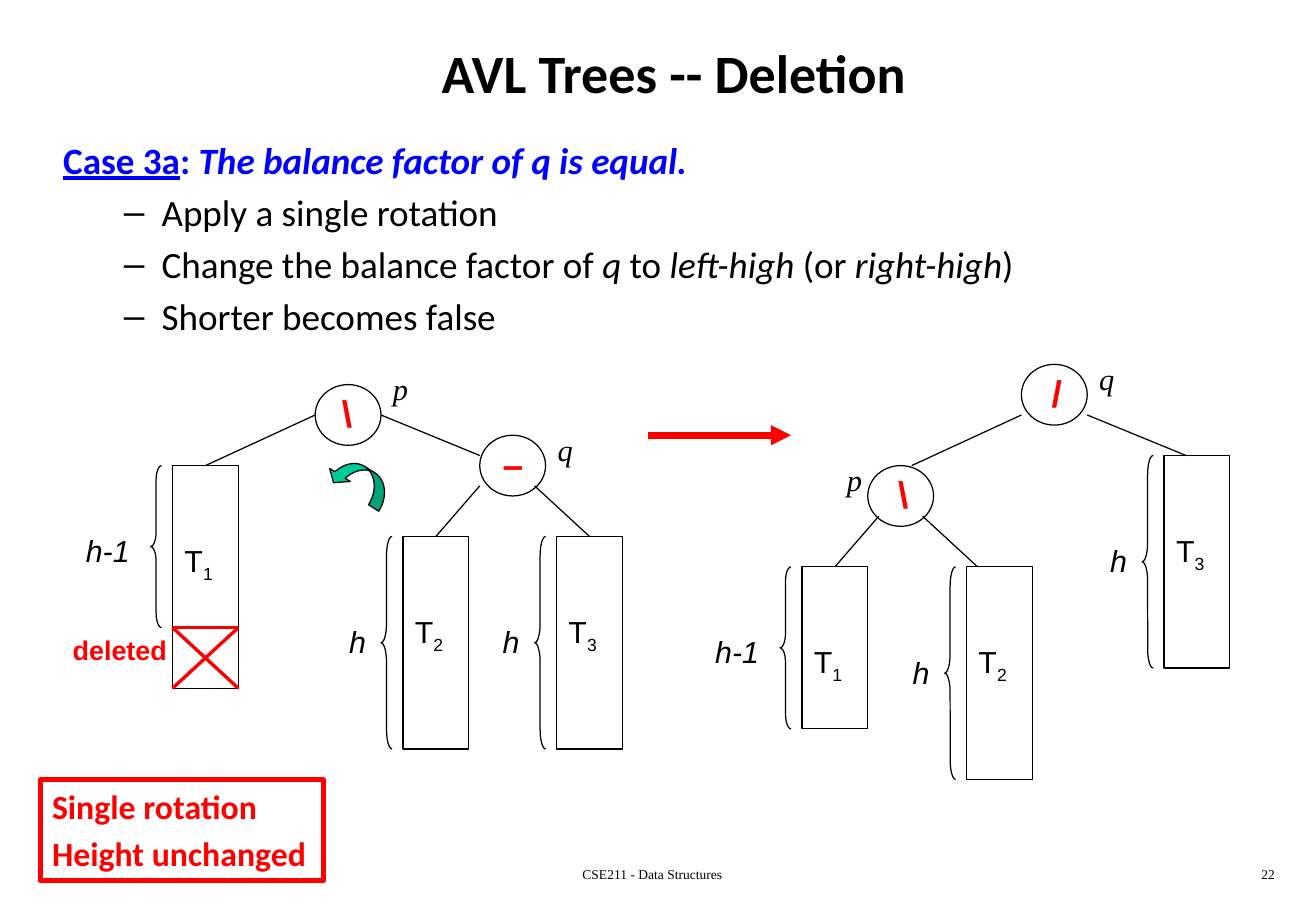
"""Build the AVL deletion slide: case 3a before and after a single rotation."""
from lxml import etree
from pptx import Presentation
from pptx.dml.color import RGBColor
from pptx.enum.shapes import MSO_CONNECTOR, MSO_SHAPE
from pptx.enum.text import MSO_ANCHOR, MSO_AUTO_SIZE, PP_ALIGN
from pptx.oxml.ns import qn
from pptx.util import Inches, Pt

BLACK = RGBColor(0, 0, 0)
WHITE = RGBColor(255, 255, 255)
RED = RGBColor(255, 0, 0)
BLUE = RGBColor(0, 0, 255)
GREEN = RGBColor(0, 204, 153)
HEADING, SANS, SERIF = "Calibri", "Arial", "Times New Roman"

TITLE = "AVL Trees -- Deletion"
CASE = [("Case 3a", "bu"), (": ", "b"), ("The balance factor of q is equal.", "bi")]
STEPS = [
    [("Apply a single rotation", "")],
    [("Change the balance factor of ", ""), ("q ", "i"), ("to ", ""),
     ("left-high", "i"), (" (or ", ""), ("right-high", "i"), (")", "")],
    [("Shorter becomes false", "")],
]
OUTCOME = ["Single rotation", "Height unchanged"]
FOOTERS = [("CSE211 - Data Structures", 3.34, 4.06, PP_ALIGN.CENTER),
           ("22", 8.33, 2.26, PP_ALIGN.RIGHT)]

COL, ROW = 0.0903, 1 / 12
NODE_W, NODE_H = 6, 6
BEFORE = {
    "left": 1.42,
    "nodes": [("p", "\\", 13, 38, 1.33, (19, 36)), ("q", "–", 28, 43, 1, (34, 42))],
    "subtrees": [("1", "h-1", 0, 46, 22, 16, 53), ("2", "h", 21, 53, 21, 21, 60),
                 ("3", "h", 35, 53, 21, 21, 60)],
    "edges": [(13, 41, 3, 46), (19, 41, 28, 45), (28, 48, 24, 53), (33, 48, 38, 53)],
}
AFTER = {
    "left": 6.6,
    "nodes": [("q", "/", 20, 36, 1.67, (26, 35)), ("p", "\\", 6, 46, 1.67, (3, 45))],
    "subtrees": [("1", "h-1", 0, 56, 16, 16, 63), ("2", "h", 15, 56, 21, 21, 63),
                 ("3", "h", 33, 45, 21, 21, 52)],
    "edges": [(20, 41, 10, 46), (26, 41, 35, 45), (7, 51, 3, 56), (11, 51, 16, 56)],
}
DELETED_ROWS = (62, 68)

prs = Presentation()
prs.slide_width, prs.slide_height = Inches(10.83), Inches(7.5)
slide = prs.slides.add_slide(prs.slide_layouts[1])
shapes = slide.shapes


def place(shape, left, top, width, height):
    shape.left, shape.top = Inches(left), Inches(top)
    shape.width, shape.height = Inches(width), Inches(height)


def add_run(paragraph, text, font, size, color, style=""):
    run = paragraph.add_run()
    run.text = text
    run.font.name, run.font.size = font, Pt(size)
    run.font.color.rgb = color
    run.font.bold, run.font.italic = "b" in style, "i" in style
    run.font.underline = "u" in style
    return run


def add_label(left, top, width, height, text, font, size, color=BLACK, style="",
              align=PP_ALIGN.LEFT):
    frame = shapes.add_textbox(*map(Inches, (left, top, width, height))).text_frame
    frame.word_wrap = True
    paragraph = frame.paragraphs[0]
    paragraph.alignment = align
    add_run(paragraph, text, font, size, color, style)
    return paragraph


def add_outline(kind, left, top, width, height, fill=None, color=BLACK, weight=0.75):
    shape = shapes.add_shape(kind, *map(Inches, (left, top, width, height)))
    shape.shadow.inherit = False
    if fill is None:
        shape.fill.background()
    else:
        shape.fill.solid()
        shape.fill.fore_color.rgb = fill
    shape.line.color.rgb, shape.line.width = color, Pt(weight)
    return shape


def add_line(x1, y1, x2, y2, color=BLACK, weight=0.75):
    line = shapes.add_connector(MSO_CONNECTOR.STRAIGHT, *map(Inches, (x1, y1, x2, y2)))
    line.line.color.rgb, line.line.width = color, Pt(weight)
    etree.SubElement(line.element.spPr, qn("a:effectLst"))
    return line


def set_bullet(paragraph, margin, indent, char=None):
    props = paragraph._p.get_or_add_pPr()
    props.set("marL", str(Inches(margin)))
    props.set("indent", str(Inches(indent)))
    if char:
        etree.SubElement(props, qn("a:buChar")).set("char", char)
    else:
        etree.SubElement(props, qn("a:buNone"))


def draw_tree(tree):
    def x(col):
        return tree["left"] + col * COL

    for name, balance, col, row, shift, (name_col, name_row) in tree["nodes"]:
        add_outline(MSO_SHAPE.OVAL, x(col), row * ROW, NODE_W * COL, NODE_H * ROW)
        add_label(x(col + shift), row * ROW, 0.45, 0.47, balance, SANS, 22, RED, "b")
        add_label(x(name_col), name_row * ROW, 0.63, 0.4, name, SERIF, 18, style="i")

    for number, height, col, row, rows, brace_rows, text_row in tree["subtrees"]:
        add_outline(MSO_SHAPE.RECTANGLE, x(col), row * ROW, NODE_W * COL, rows * ROW)
        label = add_label(x(col), text_row * ROW, 0.54, 0.4, "T", SANS, 18)
        index = add_run(label, number, SANS, 18, BLACK)
        index.font._element.set("baseline", "-25000")
        brace = add_outline(MSO_SHAPE.LEFT_BRACE, x(col - 2), row * ROW, COL, brace_rows * ROW)
        brace.adjustments[0] = brace_rows * ROW
        shorter = height == "h-1"
        add_label(x(col - (9 if shorter else 6)), (text_row + (-1 if shorter else 1)) * ROW,
                  0.99 if shorter else 0.54, 0.4, height, SANS, 18, style="i")

    for col1, row1, col2, row2 in tree["edges"]:
        add_line(x(col1), row1 * ROW, x(col2), row2 * ROW)


title, body = slide.placeholders
place(title, 0.42, 0.17, 10.25, 0.84)
title.text_frame.vertical_anchor = MSO_ANCHOR.MIDDLE
add_run(title.text_frame.paragraphs[0], TITLE, HEADING, 32, BLACK, "b")

place(body, 0.42, 1.08, 9.08, 1.75)
body.text_frame.auto_size = MSO_AUTO_SIZE.NONE
case = body.text_frame.paragraphs[0]
set_bullet(case, 0.38, -0.38)
for text, style in CASE:
    add_run(case, text, HEADING, 22, BLUE, style)
for step in STEPS:
    paragraph = body.text_frame.add_paragraph()
    paragraph.level = 1
    set_bullet(paragraph, 0.81, -0.31, "–")
    for text, style in step:
        add_run(paragraph, text, HEADING, 22, BLACK, style)

for text, left, width, align in FOOTERS:
    add_label(left, 7.08, width, 0.25, text, SERIF, 8, align=align)

outcome = add_outline(MSO_SHAPE.RECTANGLE, 0.33, 6.42, 2.33, 0.83, WHITE, RED, 3).text_frame
outcome.vertical_anchor = MSO_ANCHOR.TOP
for number, text in enumerate(OUTCOME):
    paragraph = outcome.add_paragraph() if number else outcome.paragraphs[0]
    paragraph.alignment, paragraph.space_before = PP_ALIGN.LEFT, Pt(4)
    add_run(paragraph, text, HEADING, 20, RED, "b")

draw_tree(BEFORE)
draw_tree(AFTER)

left, right = BEFORE["left"], BEFORE["left"] + NODE_W * COL
top, bottom = (row * ROW for row in DELETED_ROWS)
for ends in [(left, top, right, top), (left, top, right, bottom), (right, top, left, bottom)]:
    add_line(*ends, RED, 2)
add_label(0.5, top, 1.26, 0.37, "deleted", SANS, 16, RED, "b")

rotation = add_outline(MSO_SHAPE.CURVED_LEFT_ARROW, 2.83, 3.69, 0.25, 0.54, GREEN)
rotation.rotation = 302.2
rotation.element.spPr.xfrm.set("flipV", "1")
for number, value in enumerate((0.4, 0.8, 0.33)):
    rotation.adjustments[number] = value

becomes = add_line(5.33, 43 * ROW, 6.51, 43 * ROW, RED, 4)
etree.SubElement(becomes.line._get_or_add_ln(), qn("a:tailEnd")).set("type", "triangle")

prs.save("out.pptx")
